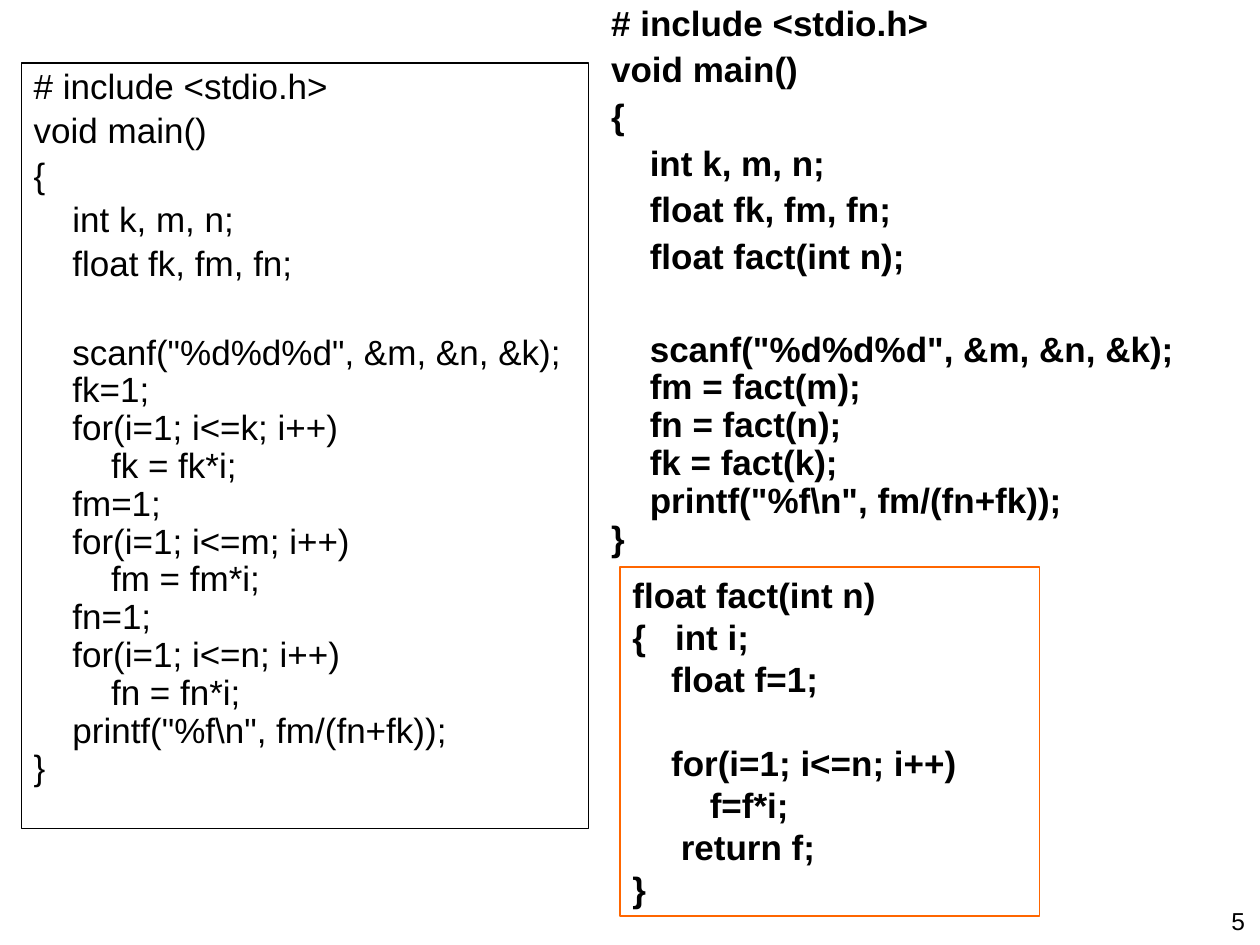
from pptx import Presentation
from pptx.dml.color import RGBColor
from pptx.enum.shapes import MSO_SHAPE
from pptx.enum.text import MSO_ANCHOR, PP_ALIGN
from pptx.util import Cm, Pt

BLACK = RGBColor(0x00, 0x00, 0x00)
ORANGE = RGBColor(0xFF, 0x66, 0x00)
SPACE_WIDTH = 0.195  # cm, one space of 20 pt Arial
BRACE_GAP = 0.86  # cm, from a brace to the code after it
LINE_HEIGHT = 24  # pt, one full line of 20 pt Arial

INLINE_CODE = r"""
# include <stdio.h>
void main()
{
    int k, m, n;
    float fk, fm, fn;

    scanf("%d%d%d", &m, &n, &k);
    fk=1;
    for(i=1; i<=k; i++)
        fk = fk*i;
    fm=1;
    for(i=1; i<=m; i++)
        fm = fm*i;
    fn=1;
    for(i=1; i<=n; i++)
        fn = fn*i;
    printf("%f\n", fm/(fn+fk));
}
"""

MAIN_CODE = r"""
# include <stdio.h>
void main()
{
    int k, m, n;
    float fk, fm, fn;
    float fact(int n);

    scanf("%d%d%d", &m, &n, &k);
    fm = fact(m);
    fn = fact(n);
    fk = fact(k);
    printf("%f\n", fm/(fn+fk));
}
"""

FACT_CODE = """
float fact(int n)
{\tint i;
    float f=1;

    for(i=1; i<=n; i++)
        f=f*i;
     return f;
}
"""


def style(paragraph, size, bold=False):
    paragraph.font.name = "Arial"
    paragraph.font.size = Pt(size)
    paragraph.font.bold = bold
    paragraph.font.color.rgb = BLACK


def write_code(frame, code, bold, spacing, gap):
    """Turn leading spaces into indents and an empty line into space before.

    The gap, in points, stands above each line up to the scanf call.
    """
    frame.word_wrap = True
    frame.vertical_anchor = MSO_ANCHOR.TOP
    paragraph = frame.paragraphs[0]
    extra = 0
    for number, line in enumerate(code.strip().splitlines()):
        if not line:
            extra = LINE_HEIGHT * spacing + gap
            continue
        if number:
            paragraph = frame.add_paragraph()
        text = line.lstrip(" ")
        paragraph.text = text
        paragraph.alignment = PP_ALIGN.LEFT
        paragraph.line_spacing = spacing
        paragraph.space_before = Pt(round(gap + extra, 1))
        style(paragraph, 20, bold)
        properties = paragraph._p.get_or_add_pPr()
        hanging = BRACE_GAP if "\t" in text else 0
        margin = hanging or (len(line) - len(text)) * SPACE_WIDTH
        properties.set("marL", str(Cm(margin)))
        properties.set("indent", str(Cm(-hanging)))
        extra = 0
        if text.startswith("scanf"):
            gap = 0


deck = Presentation()
deck.slide_width, deck.slide_height = Cm(25.4), Cm(19.05)
page = deck.slides.add_slide(deck.slide_layouts[6])

number_box = page.shapes.add_textbox(Cm(20.07), Cm(18.14), Cm(5.28), Cm(1.27))
number_line = number_box.text_frame.paragraphs[0]
number_line.text = "5"
number_line.alignment = PP_ALIGN.RIGHT
number_line.space_before = Pt(8.8)
style(number_line, 14)

main_box = page.shapes.add_textbox(Cm(12.07), Cm(0), Cm(13.03), Cm(11.43))
write_code(main_box.text_frame, MAIN_CODE, bold=True, spacing=0.9, gap=5)

framed_codes = [
    (0.43, 1.27, 11.43, 15.44, BLACK, INLINE_CODE, False, 0.9, 3.7),
    (12.5, 11.43, 8.46, 7.04, ORANGE, FACT_CODE, True, 1.0, 0),
]
for left, top, width, height, color, code, bold, spacing, gap in framed_codes:
    box = page.shapes.add_shape(MSO_SHAPE.RECTANGLE, Cm(left), Cm(top), Cm(width), Cm(height))
    box.shadow.inherit = False
    box.fill.background()
    box.line.color.rgb = color
    box.line.width = Pt(0.75)
    write_code(box.text_frame, code, bold, spacing, gap)

deck.save("out.pptx")
